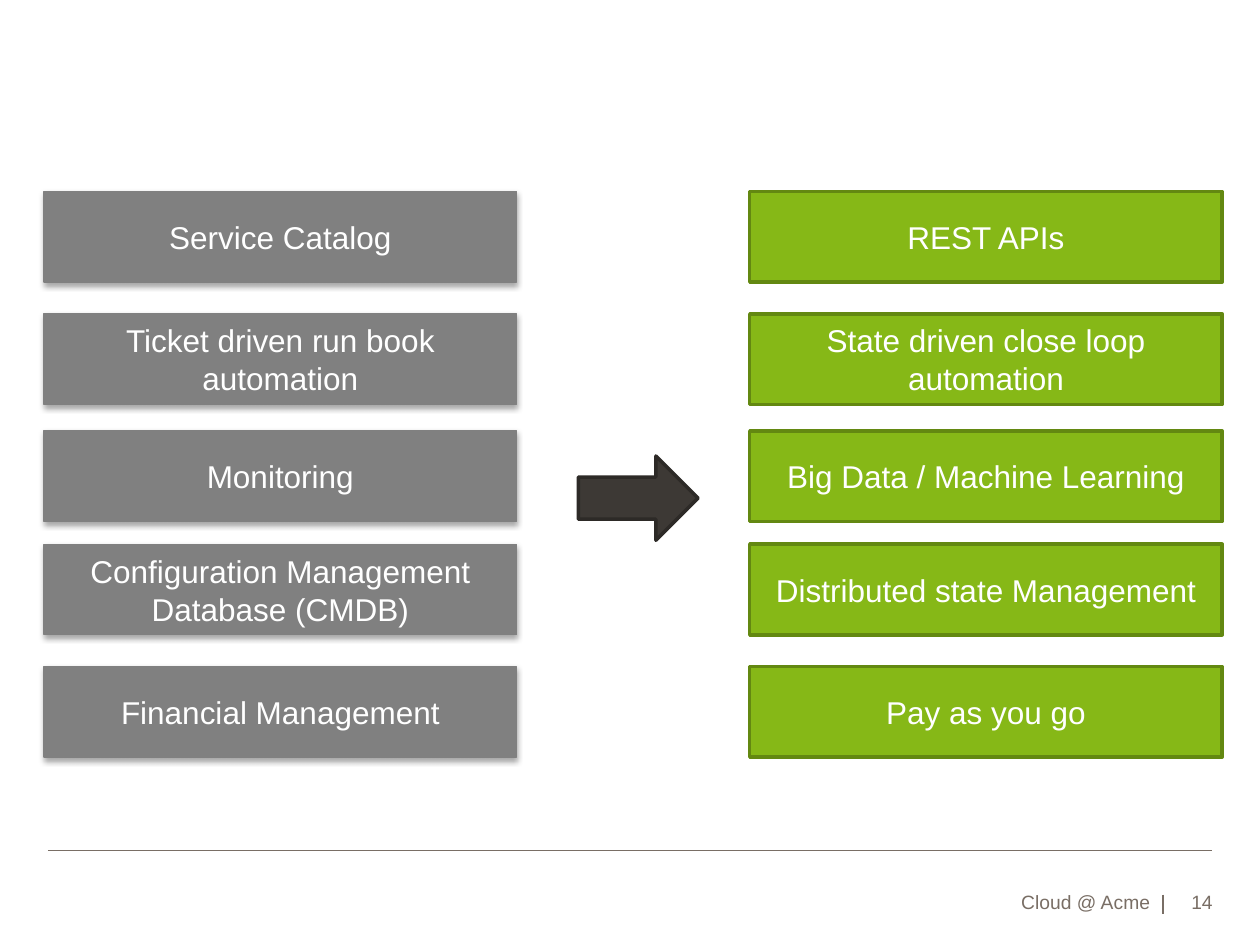
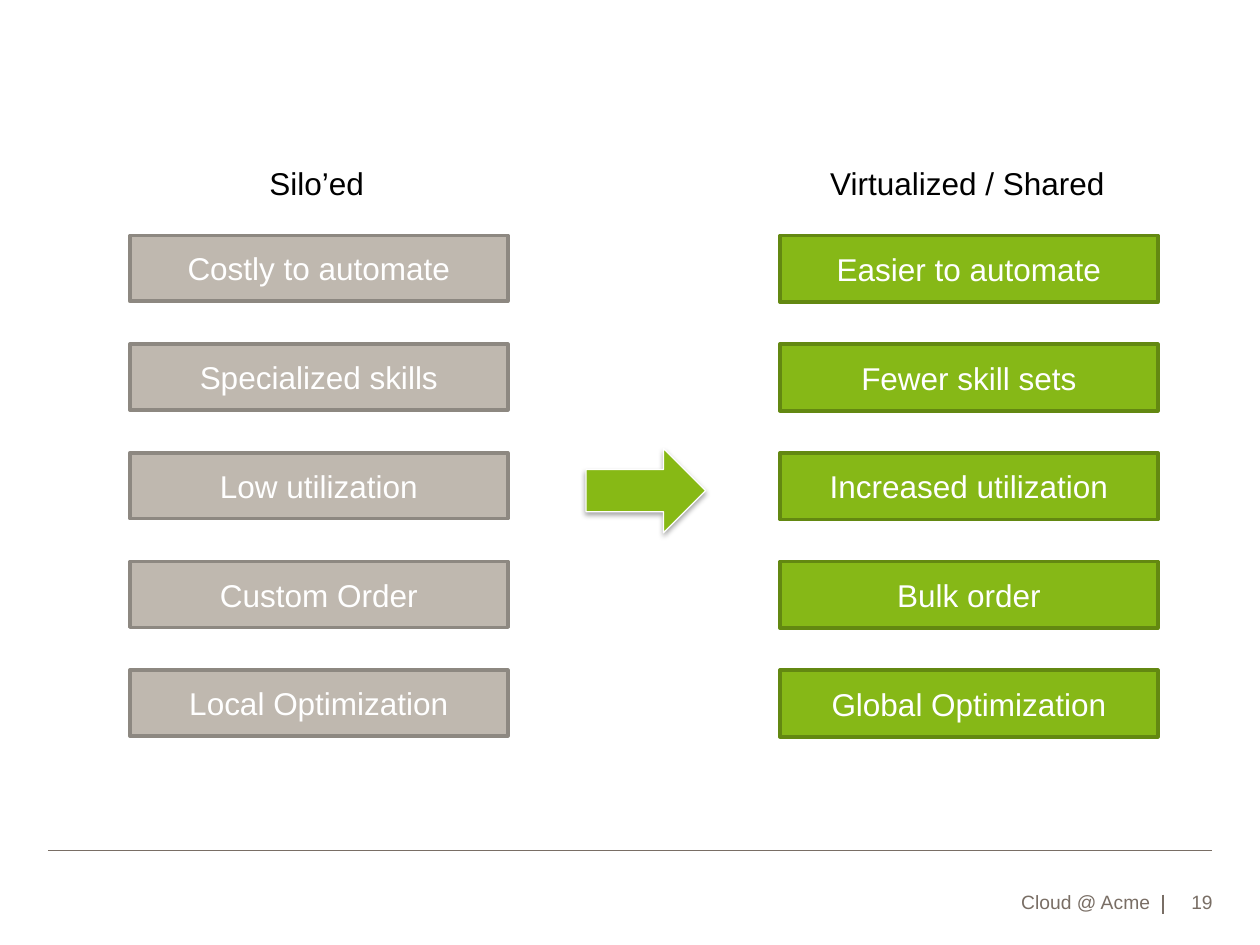
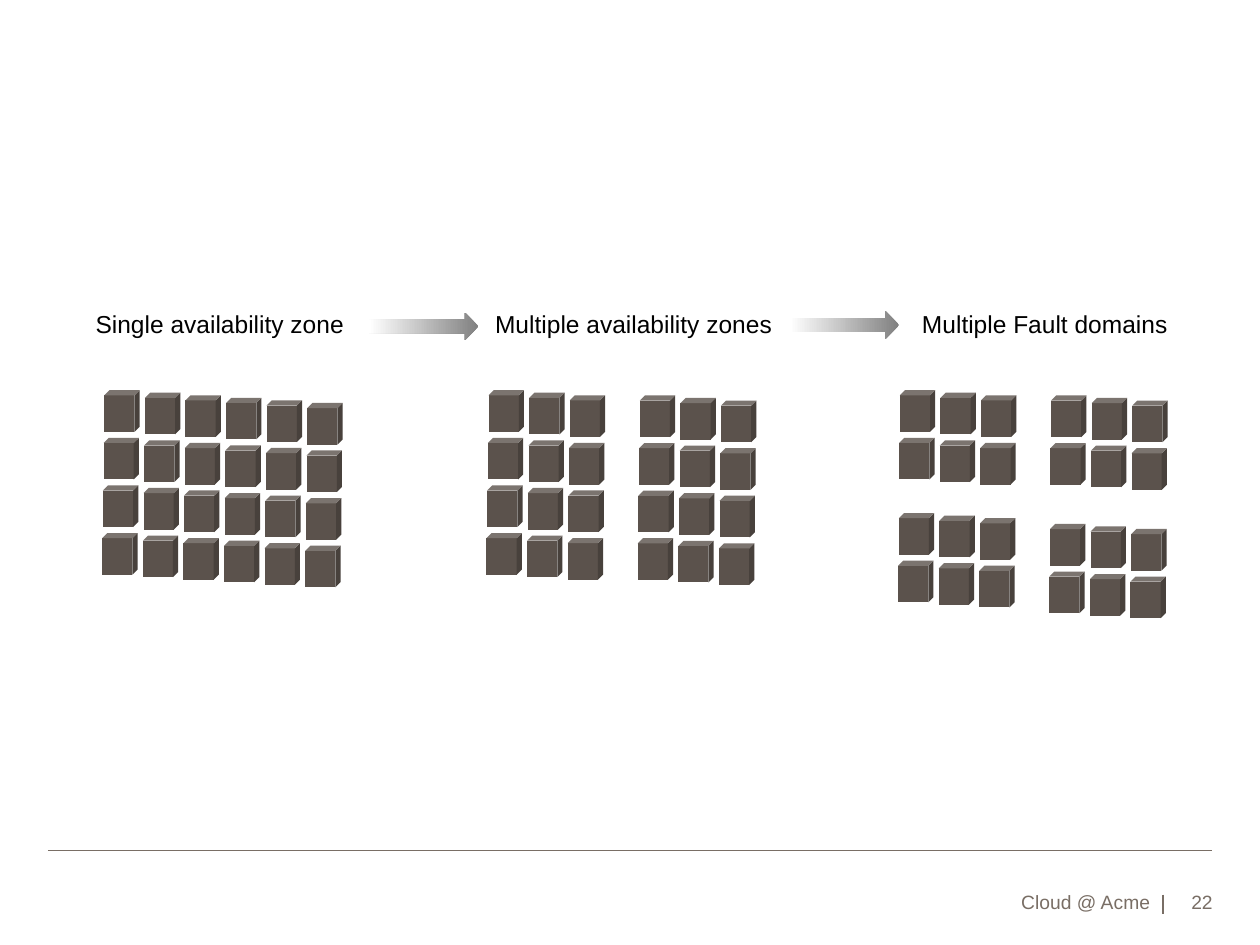
"""Build three slides on cloud operations, shared capacity and availability zones."""
from dataclasses import dataclass

from lxml.etree import SubElement
from pptx import Presentation
from pptx.dml.color import RGBColor
from pptx.enum.shapes import MSO_CONNECTOR as Connector, MSO_SHAPE as Preset
from pptx.enum.text import MSO_ANCHOR as Anchor, PP_ALIGN as Align
from pptx.oxml.ns import qn
from pptx.shapes.autoshape import Shape
from pptx.slide import Slide
from pptx.text.text import TextFrame
from pptx.util import Pt

FONT = "Arial"
COLOURS = {
    "white": "FFFFFF", "black": "000000", "footer": "796E65",
    "grey": "808080", "stone": "BFB8AF", "stone_edge": "8D8881",
    "green": "86B817", "green_edge": "638811", "lime": "87B915",
    "charcoal": "3D3935", "charcoal_edge": "2D2A27", "cube": "5B524C",
}


@dataclass(frozen=True)
class Frame:
    left: float
    top: float
    width: float
    height: float

    def lengths(self) -> tuple[Pt, Pt, Pt, Pt]:
        return Pt(self.left), Pt(self.top), Pt(self.width), Pt(self.height)


@dataclass(frozen=True)
class Style:
    fill: str
    edge: str | None = None
    edge_width: float = 2
    shadow: bool = False


@dataclass(frozen=True)
class Column:
    left: float
    width: float
    height: float
    style: Style
    labels: tuple[str, ...]
    wrap: bool = True


@dataclass(frozen=True)
class CubeBlock:
    left: float
    top: float
    rows: int
    columns: int


GREY = Style("grey", "grey", 0.75, shadow=True)
STONE = Style("stone", "stone_edge")
GREEN = Style("green", "green_edge")
CHARCOAL = Style("charcoal", "charcoal_edge")
LIME = Style("lime", "white", 0.75, shadow=True)
CUBE = Style("cube")

OPERATIONS_TOPS = (109.4, 179.3, 246.2, 311, 380.9)
OPERATIONS = (
    Column(25.2, 270, 51.8, GREY, (
        "Service Catalog", "Ticket driven run book automation", "Monitoring",
        "Configuration Management\nDatabase (CMDB)", "Financial Management")),
    Column(428.4, 270, 51.8, GREEN, (
        "REST APIs", "State driven close loop\nautomation", "Big Data / Machine Learning",
        "Distributed state Management", "Pay as you go")),
)

SHARING_TOPS = tuple(134.6 + 62.1 * row for row in range(5))
SHARING = (
    Column(74.2, 216, 37.6, STONE, (
        "Costly to automate", "Specialized skills", "Low utilization",
        "Custom Order", "Local Optimization"), wrap=False),
    Column(445.7, 216, 38.1, GREEN, (
        "Easier to automate", "Fewer skill sets", "Increased utilization",
        "Bulk order", "Global Optimization"), wrap=False),
)
SHARING_HEADINGS = (
    ("Silo’ed", Frame(146.9, 90, 69.1, 29)),
    ("Virtualized / Shared", Frame(467.3, 90, 173.5, 29)),
)

ZONE_HEADINGS = (
    ("Single availability zone", Frame(47.5, 172.8, 157.7, 24.5)),
    ("Multiple availability zones", Frame(275.8, 172.8, 174.2, 24.5)),
    ("Multiple Fault domains", Frame(519.8, 172.8, 156.2, 24.5)),
)
ZONE_ARROWS = (Frame(211, 178.6, 62.6, 15.8), Frame(451.4, 177.8, 62.6, 15.8))
CUBE_WIDTH, CUBE_HEIGHT = 20.2, 23.8
COLUMN_PITCH, ROW_PITCH = 23.2, 27.2
COLUMN_DROP, ROW_LEAN = 1.45, 0.4
CUBE_BLOCKS = (
    CubeBlock(59.6, 223, 4, 6),
    CubeBlock(279.2, 223, 4, 3), CubeBlock(365.6, 226, 4, 3),
    CubeBlock(514.2, 223, 2, 3), CubeBlock(600.6, 226, 2, 3),
    CubeBlock(513.6, 293.2, 2, 3), CubeBlock(600, 299.4, 2, 3),
)


def colour(name: str) -> RGBColor:
    """Return a named colour of the palette."""
    return RGBColor.from_string(COLOURS[name])


def write(frame: TextFrame, text: str, size: float, ink: str, align: Align) -> None:
    """Fill a text frame, one paragraph per line."""
    for index, line in enumerate(text.split("\n")):
        para = frame.add_paragraph() if index else frame.paragraphs[0]
        para.text = line
        para.alignment = align
        para.font.name = FONT
        para.font.size = Pt(size)
        para.font.color.rgb = colour(ink)


def add_shadow(shape: Shape) -> None:
    """Give a shape a soft shadow below it."""
    effects = shape._element.spPr.find(qn("a:effectLst"))
    shadow = SubElement(effects, qn("a:outerShdw"), blurRad=str(Pt(3.1)),
                        dist=str(Pt(1.8)), dir="5400000", rotWithShape="0")
    tint = SubElement(shadow, qn("a:srgbClr"), val=COLOURS["black"])
    SubElement(tint, qn("a:alpha"), val="35000")


def add_preset(page: Slide, preset: Preset, frame: Frame, style: Style) -> Shape:
    """Draw a preset shape in a style."""
    shape = page.shapes.add_shape(preset, *frame.lengths())
    shape.shadow.inherit = False
    shape.fill.solid()
    shape.fill.fore_color.rgb = colour(style.fill)
    if style.edge:
        shape.line.color.rgb = colour(style.edge)
        shape.line.width = Pt(style.edge_width)
    else:
        shape.line.fill.background()
    if style.shadow:
        add_shadow(shape)
    return shape


def add_column(page: Slide, column: Column, tops: tuple[float, ...]) -> None:
    """Stack the labelled boxes of a column."""
    for label, top in zip(column.labels, tops):
        frame = Frame(column.left, top, column.width, column.height)
        box = add_preset(page, Preset.RECTANGLE, frame, column.style)
        box.text_frame.word_wrap = column.wrap
        box.text_frame.vertical_anchor = Anchor.MIDDLE
        write(box.text_frame, label, 18, "white", Align.CENTER)


def add_heading(page: Slide, text: str, frame: Frame, size: float) -> None:
    """Place a one-line heading."""
    box = page.shapes.add_textbox(*frame.lengths())
    box.text_frame.word_wrap = False
    write(box.text_frame, text, size, "black", Align.LEFT)


def add_rule(page: Slide, left: float, top: float, right: float, bottom: float) -> None:
    """Draw a thin footer line."""
    rule = page.shapes.add_connector(
        Connector.STRAIGHT, Pt(left), Pt(top), Pt(right), Pt(bottom))
    rule.line.color.rgb = colour("footer")
    rule.line.width = Pt(1)
    SubElement(rule._element.spPr, qn("a:effectLst"))


def add_footer_text(page: Slide, text: str, frame: Frame) -> None:
    """Place right-aligned footer text."""
    box = page.shapes.add_textbox(*frame.lengths())
    body = box.text_frame
    body.word_wrap = True
    body.vertical_anchor = Anchor.BOTTOM
    body.margin_left = body.margin_right = body.margin_bottom = 0
    body.margin_top = Pt(3.6)
    write(body, text, 11, "footer", Align.RIGHT)


def add_page(deck: Presentation, number: int) -> Slide:
    """Add a blank page with the shared footer."""
    page = deck.slides.add_slide(deck.slide_layouts[6])
    add_rule(page, 27.4, 486, 692.6, 486)
    add_rule(page, 664.6, 511.2, 664.6, 522)
    add_footer_text(page, "Cloud @ Acme", Frame(393.8, 501.8, 263.5, 20.2))
    add_footer_text(page, str(number), Frame(664.6, 502.6, 28.4, 19.4))
    return page


def add_cube_block(page: Slide, block: CubeBlock) -> None:
    """Draw a gently sloping grid of cubes."""
    for row in range(block.rows):
        for column in range(block.columns):
            left = block.left + column * COLUMN_PITCH - row * ROW_LEAN
            top = block.top + row * ROW_PITCH + column * COLUMN_DROP
            frame = Frame(left, top, CUBE_WIDTH, CUBE_HEIGHT)
            cube = add_preset(page, Preset.CUBE, frame, CUBE)
            cube.adjustments[0] = 0.146


def add_fading_arrow(page: Slide, frame: Frame) -> None:
    """Draw an arrow that fades in from the left."""
    arrow = add_preset(page, Preset.RIGHT_ARROW, frame, Style("grey"))
    arrow.fill.gradient()
    arrow.fill.gradient_angle = 180
    for stop, name, position in zip(arrow.fill.gradient_stops, ("grey", "white"), (0, 1)):
        stop.color.rgb = colour(name)
        stop.position = position


def build_operations(deck: Presentation) -> None:
    """Build the page that contrasts ways to operate."""
    page = add_page(deck, 14)
    add_preset(page, Preset.RIGHT_ARROW, Frame(330.5, 260.6, 68.4, 48.2), CHARCOAL)
    for column in OPERATIONS:
        add_column(page, column, OPERATIONS_TOPS)


def build_sharing(deck: Presentation) -> None:
    """Build the page that contrasts silos with sharing."""
    page = add_page(deck, 19)
    for column in SHARING:
        add_column(page, column, SHARING_TOPS)
    for text, frame in SHARING_HEADINGS:
        add_heading(page, text, frame, 18)
    add_preset(page, Preset.RIGHT_ARROW, Frame(334.8, 256.3, 68.4, 48.2), LIME)


def build_zones(deck: Presentation) -> None:
    """Build the page on zones and fault domains."""
    page = add_page(deck, 22)
    for block in CUBE_BLOCKS:
        add_cube_block(page, block)
    for text, frame in ZONE_HEADINGS:
        add_heading(page, text, frame, 14)
    for frame in ZONE_ARROWS:
        add_fading_arrow(page, frame)


def main() -> None:
    """Build and save the deck."""
    deck = Presentation()
    deck.slide_width, deck.slide_height = Pt(720), Pt(540)
    build_operations(deck)
    build_sharing(deck)
    build_zones(deck)
    deck.save("out.pptx")


if __name__ == "__main__":
    main()
